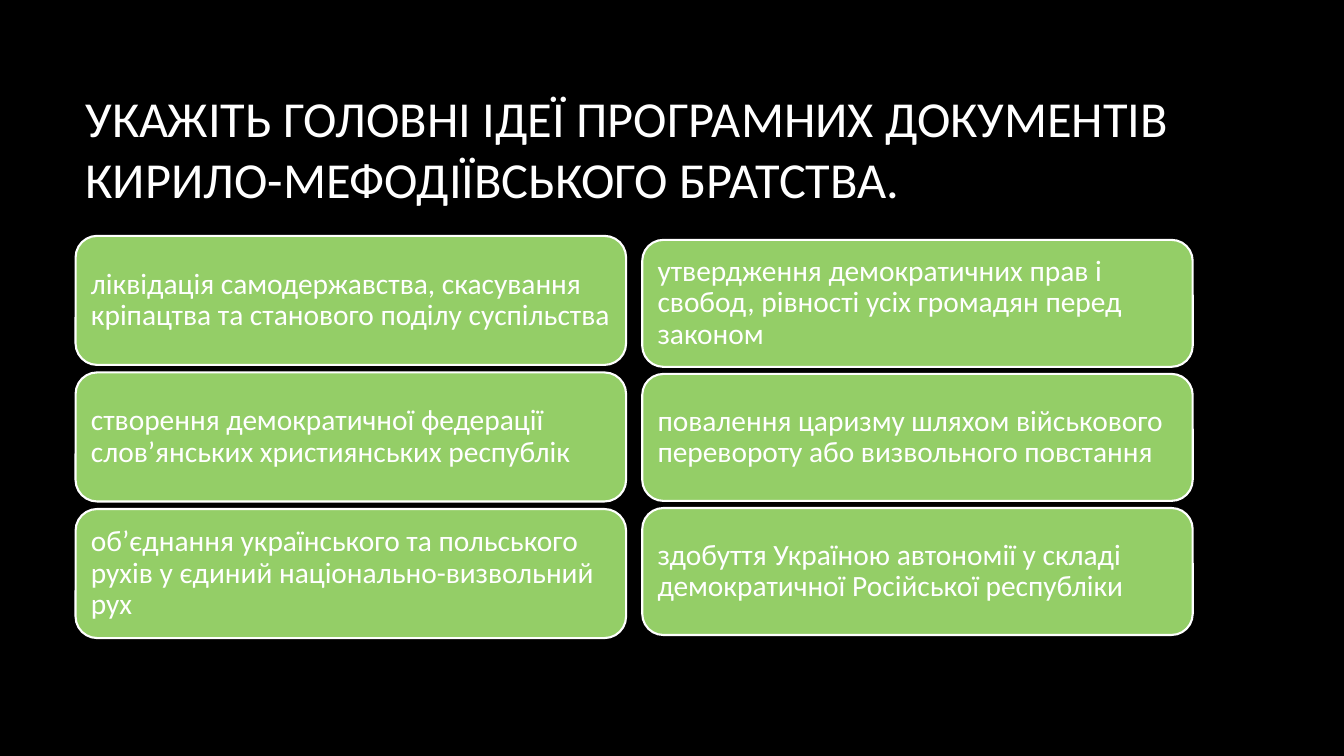
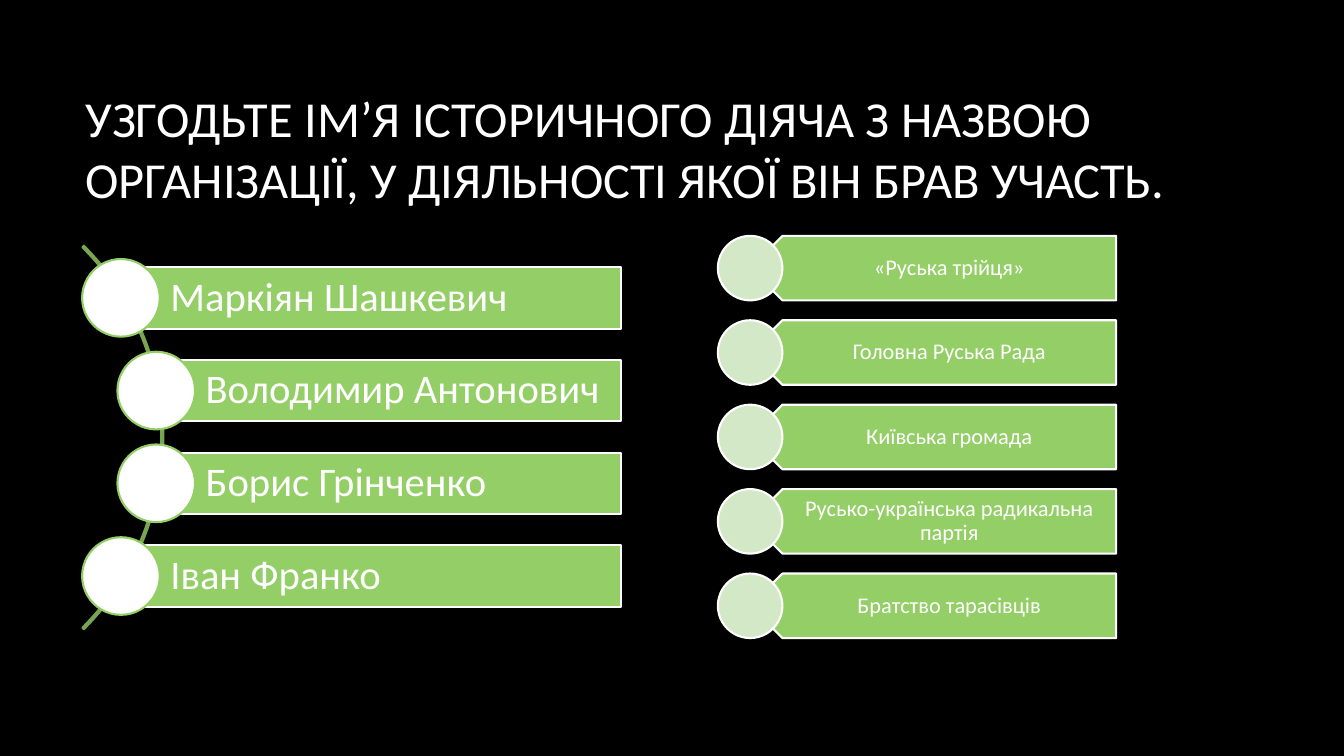
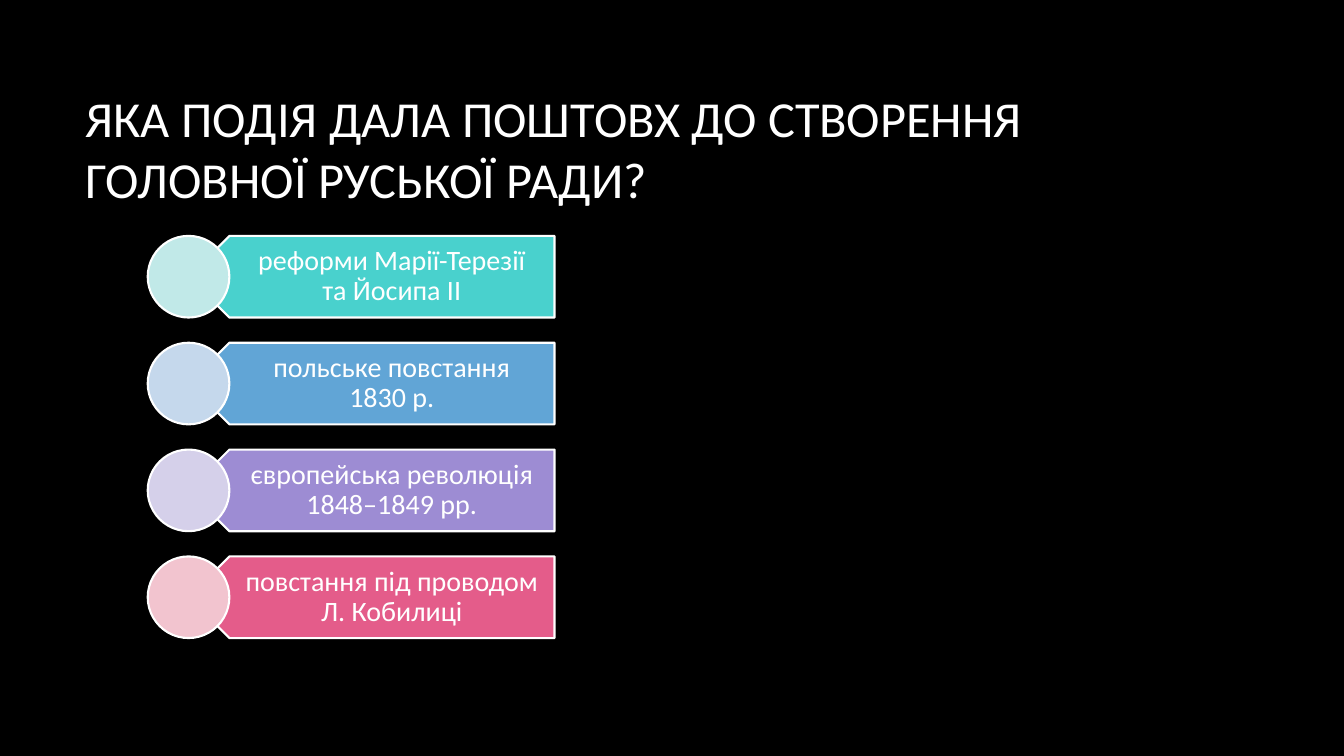
from pptx import Presentation
from pptx import util as u
from pptx.dml.color import RGBColor
from pptx.enum import shapes, text

COLORS = {
    "black": "000000", "white": "FFFFFF",
    "green": "94CE67", "pale_green": "D2E8C7", "dark_green": "77A552",
    "teal": "49D1CD", "pale_teal": "C1E9E8",
    "blue": "61A5D6", "pale_blue": "C5D8EC",
    "purple": "9D8CD3", "pale_purple": "D5D0EA",
    "pink": "E45C8A", "pale_pink": "F2C4CF",
}
FONT = "Calibri"
TOP, BOTTOM = 2.34, 6.33
KIND = shapes.MSO_SHAPE
LEFT, CENTER = text.PP_ALIGN.LEFT, text.PP_ALIGN.CENTER


def color(name):
    return RGBColor.from_string(COLORS[name])


def spread(top, bottom, height, count):
    pitch = (bottom - top - height) / (count - 1)
    return [top + i * pitch for i in range(count)]


def write(sp, words, size, insets, align=LEFT, spacing=0.9):
    tf = sp.text_frame
    tf.word_wrap = True
    tf.vertical_anchor = text.MSO_ANCHOR.MIDDLE
    tf.margin_left, tf.margin_top, tf.margin_right, tf.margin_bottom = map(u.Inches, insets)
    p = tf.paragraphs[0]
    p.alignment = align
    p.line_spacing = spacing
    r = p.add_run()
    r.text = words
    r.font.name = FONT
    r.font.size = u.Pt(size)
    r.font.color.rgb = color("white")


def add_text(s, box, words, size, insets, align=LEFT, spacing=0.9):
    sp = s.shapes.add_textbox(*map(u.Inches, box))
    write(sp, words, size, insets, align, spacing)


def add_shape(s, kind, box, fill, line="white"):
    sp = s.shapes.add_shape(kind, *map(u.Inches, box))
    sp.shadow.inherit = False
    if fill:
        sp.fill.solid()
        sp.fill.fore_color.rgb = color(fill)
    else:
        sp.fill.background()
    sp.line.color.rgb = color(line)
    sp.line.width = u.Pt(1.5)
    return sp


def add_slide(prs, title):
    s = prs.slides.add_slide(prs.slide_layouts[6])
    add_text(s, (0.75, 0.67, 11.08, 1.59), title, 36, (0.1, 0.05, 0.1, 0.05), spacing=1.0)
    return s


def add_cards(s, left, top, bottom, height, items):
    for y, words in zip(spread(top, bottom, height, len(items)), items):
        sp = add_shape(s, KIND.ROUNDED_RECTANGLE, (left, y, 5.46, height), "green")
        write(sp, words, 21, (0.09, 0.09, 0.09, 0.09))


def add_arc_list(s, items):
    right, height, dot = 6.16, 0.61, 0.77
    arc = add_shape(s, KIND.BLOCK_ARC, (-3.76, 1.65, 5.38, 5.38), None, "dark_green")
    for i, value in enumerate((189, 27, 0.004)):
        arc.adjustments[i] = value
    rows = spread(2.65, 6.02, height, len(items))
    for i, (y, words) in enumerate(zip(rows, items)):
        left = 1.2 if i in (0, len(items) - 1) else 1.55
        bar = add_shape(s, KIND.RECTANGLE, (left, y, right - left, height), "green")
        write(bar, words, 29, (0.49, 0.08, 0.08, 0.08))
        dot_box = (left - dot / 2, y + (height - dot) / 2, dot, dot)
        add_shape(s, KIND.OVAL, dot_box, "white", "green")


def add_plates(s, left, height, size, insets, items):
    width = 3.63
    for y, (words, hue) in zip(spread(TOP, BOTTOM, height, len(items)), items):
        plate = add_shape(s, KIND.PENTAGON, (left, y, width, height), hue)
        plate.rotation = 180
        text_box = (left + height / 4, y, width - height / 4, height)
        add_text(s, text_box, words, size, insets, CENTER)
        add_shape(s, KIND.OVAL, (left - height / 2, y, height, height), "pale_" + hue)


def main():
    prs = Presentation()
    prs.slide_width, prs.slide_height = u.Inches(13.33), u.Inches(7.5)
    bg = prs.slide_master.background.fill
    bg.solid()
    bg.fore_color.rgb = color("black")

    s = add_slide(prs, "УКАЖІТЬ ГОЛОВНІ ІДЕЇ ПРОГРАМНИХ ДОКУМЕНТІВ КИРИЛО-МЕФОДІЇВСЬКОГО БРАТСТВА.")
    add_cards(s, 0.75, TOP, BOTTOM, 1.28, [
        "ліквідація самодержавства, скасування кріпацтва та станового поділу суспільства",
        "створення демократичної федерації слов’янських християнських республік",
        "об’єднання українського та польського рухів у єдиний національно-визвольний рух",
    ])
    add_cards(s, 6.37, 2.38, 6.3, 1.26, [
        "утвердження демократичних прав і свобод, рівності усіх громадян перед законом",
        "повалення царизму шляхом військового перевороту або визвольного повстання",
        "здобуття Україною автономії у складі демократичної Російської республіки",
    ])

    s = add_slide(prs, "УЗГОДЬТЕ ІМ’Я ІСТОРИЧНОГО ДІЯЧА З НАЗВОЮ ОРГАНІЗАЦІЇ, "
                       "У ДІЯЛЬНОСТІ ЯКОЇ ВІН БРАВ УЧАСТЬ.")
    add_arc_list(s, ["Маркіян Шашкевич", "Володимир Антонович", "Борис Грінченко", "Іван Франко"])
    organisations = ["«Руська трійця»", "Головна Руська Рада", "Київська громада",
                     "Русько-українська радикальна партія", "Братство тарасівців"]
    add_plates(s, 7.44, 0.64, 16, (0.28, 0.07, 0.12, 0.07),
               [(name, "green") for name in organisations])

    s = add_slide(prs, "ЯКА ПОДІЯ ДАЛА ПОШТОВХ ДО СТВОРЕННЯ ГОЛОВНОЇ РУСЬКОЇ РАДИ?")
    add_plates(s, 1.87, 0.81, 20, (0.36, 0.08, 0.16, 0.08), [
        ("реформи Марії-Терезії та Йосипа II", "teal"),
        ("польське повстання 1830 р.", "blue"),
        ("європейська революція 1848–1849 рр.", "purple"),
        ("повстання під проводом Л. Кобилиці", "pink"),
    ])
    prs.save("out.pptx")


if __name__ == "__main__":
    main()
